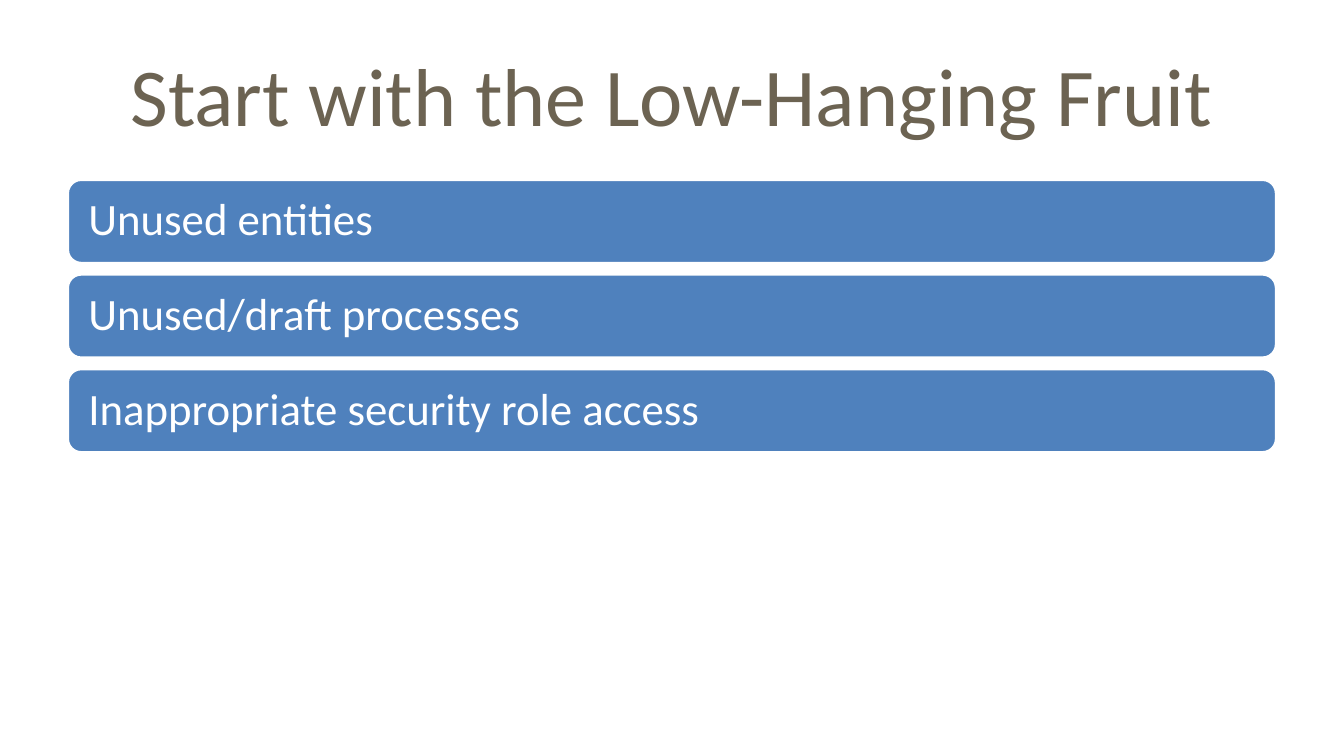
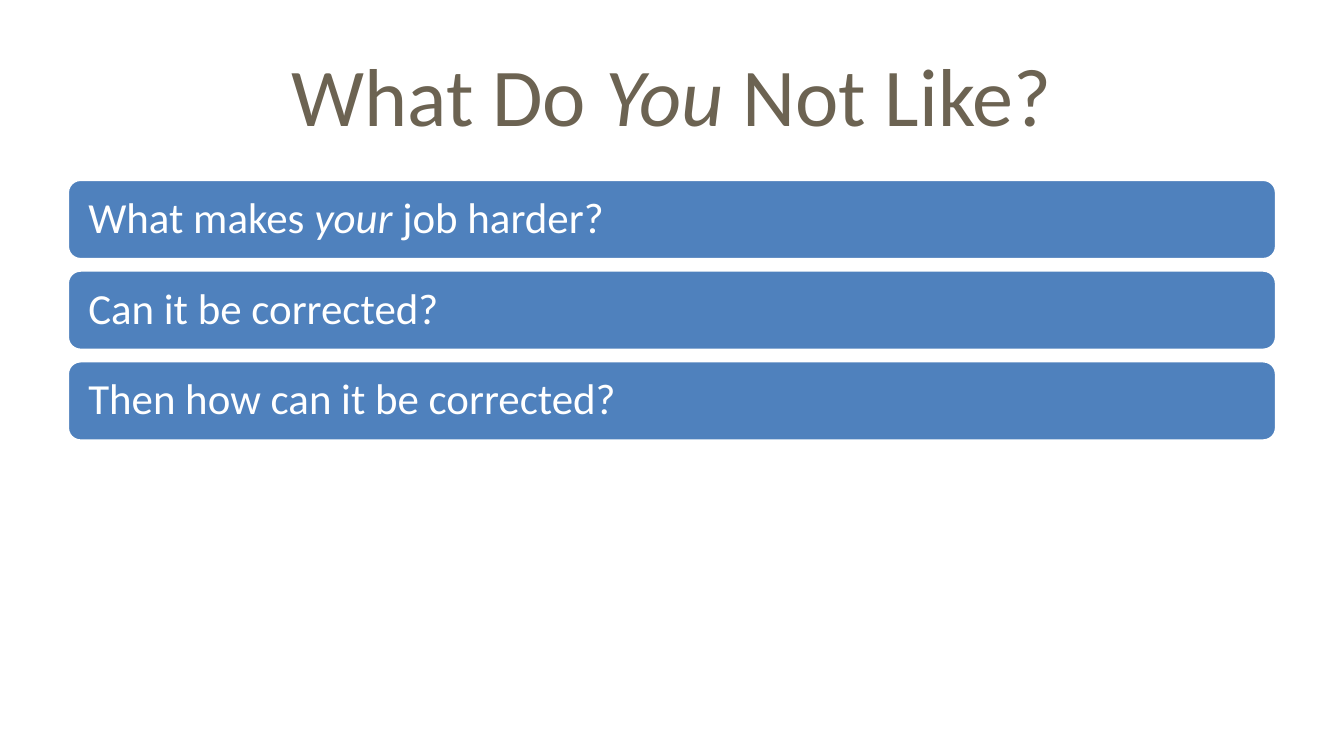
import pptx
import pptx.dml.color
import pptx.enum.shapes
import pptx.enum.text
import pptx.util

Pt = pptx.util.Pt
ALIGN = pptx.enum.text.PP_ALIGN

COLORS = {"background": "FFFFFF", "title": "6C6352", "bar": "4F81BD", "bar_text": "FFFFFF"}
FONT = "Calibri"
LEFT, WIDTH = 36, 648
BAR_TOP, BAR_GAP = 96, 5.4

# Title, bar height, bar text size, bar texts; *asterisks* mark italics
SLIDES = [
    ("Start with the Low-Hanging Fruit", 45.3, 24,
     ["Unused entities", "Unused/draft processes", "Inappropriate security role access"]),
    ("What Do *You* Not Like?", 43.2, 23,
     ["What makes *your* job harder?", "Can it be corrected?", "Then how can it be corrected?"]),
]


def rgb(name):
    return pptx.dml.color.RGBColor.from_string(COLORS[name])


def write_text(sp, text, size, color, align, inset):
    """Fill a shape with one middle-anchored paragraph; *marked* parts are italic."""
    tf = sp.text_frame
    tf.word_wrap = True
    tf.vertical_anchor = pptx.enum.text.MSO_ANCHOR.MIDDLE
    tf.margin_left = tf.margin_right = Pt(inset)
    p = tf.paragraphs[0]
    p.alignment = align
    for i, part in enumerate(text.split("*")):
        r = p.add_run()
        r.text = part
        r.font.name = FONT
        r.font.size = Pt(size)
        r.font.italic = i % 2 == 1
        r.font.color.rgb = rgb(color)
    return p


def add_title(s, text):
    sp = s.shapes.add_textbox(Pt(LEFT), Pt(16.5), Pt(WIDTH), Pt(67.5))
    write_text(sp, text, 44, "title", ALIGN.CENTER, 7.2)


def add_bar(s, text, top, height, size):
    sp = s.shapes.add_shape(pptx.enum.shapes.MSO_SHAPE.ROUNDED_RECTANGLE,
                            Pt(LEFT), Pt(top), Pt(WIDTH), Pt(height))
    sp.shadow.inherit = False
    sp.fill.solid()
    sp.fill.fore_color.rgb = rgb("bar")
    sp.line.color.rgb = rgb("background")
    sp.line.width = Pt(2)
    p = write_text(sp, text, size, "bar_text", ALIGN.LEFT, 9.2)
    p.line_spacing = 0.9


def add_slide(prs, title, bar_height, size, bars):
    s = prs.slides.add_slide(prs.slide_layouts[6])
    s.background.fill.solid()
    s.background.fill.fore_color.rgb = rgb("background")
    add_title(s, title)
    for i, text in enumerate(bars):
        add_bar(s, text, BAR_TOP + i * (bar_height + BAR_GAP), bar_height, size)


def main():
    prs = pptx.Presentation()
    prs.slide_width, prs.slide_height = Pt(720), Pt(405)
    for content in SLIDES:
        add_slide(prs, *content)
    prs.save("out.pptx")


if __name__ == "__main__":
    main()
